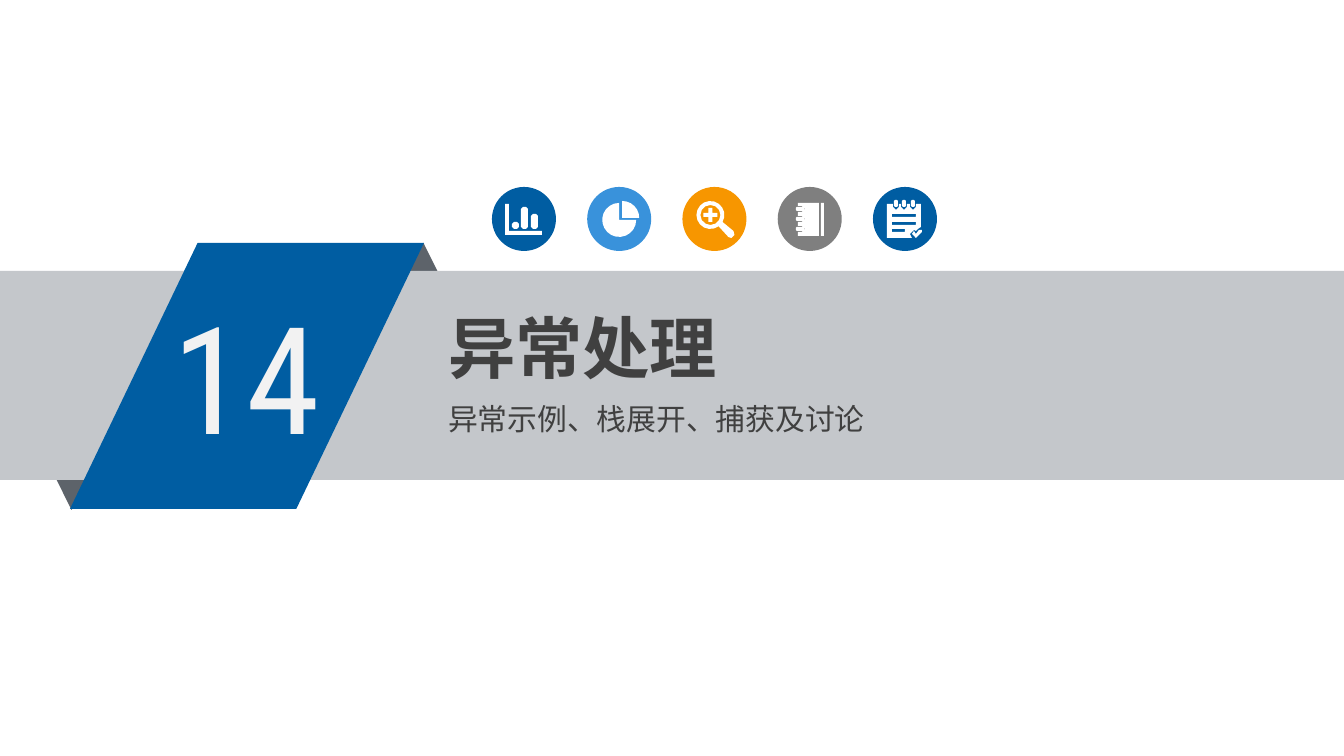
from math import ceil, cos, radians, sin

from lxml import etree
from pptx import Presentation
from pptx.dml.color import RGBColor
from pptx.enum.shapes import MSO_SHAPE
from pptx.enum.text import MSO_AUTO_SIZE
from pptx.oxml.ns import qn
from pptx.util import Pt

RECT, OVAL = MSO_SHAPE.RECTANGLE, MSO_SHAPE.OVAL
FOLD, SLANT = MSO_SHAPE.ISOSCELES_TRIANGLE, MSO_SHAPE.PARALLELOGRAM
GROW = MSO_AUTO_SIZE.SHAPE_TO_FIT_TEXT
PX = 914400 / 134.4
BLUE, SKY, AMBER, GRAY = "005DA2", "3992DB", "F79600", "7F7F7F"
WHITE, SLATE, SILVER, INK = "FFFFFF", "5D636A", "C4C7CB", "404040"
SANS, SLIM = "Noto Sans CJK SC", "Roboto Condensed"


def arc(x, y, r, start, end):
    """Points on a circle, in degrees clockwise from the right."""
    steps = ceil(r * abs(end - start) / 300)
    turns = [radians(start + (end - start) * i / steps) for i in range(steps + 1)]
    return [(x + r * cos(a), y + r * sin(a)) for a in turns]


def box(x, y, w, h):
    return [(x, y), (x + w, y), (x + w, y + h), (x, y + h)]


def pill(x, y, w, h, r=2):
    """Outline of a rectangle with cut corners."""
    left, right, top, low = x + r, x + w - r, y + r, y + h - r
    return [(left, y), (right, y), (x + w, top), (x + w, low),
            (right, y + h), (left, y + h), (x, low), (x, top)]


# Icon outlines, in px from the corner of their disc
bars = [
    [(13, 17), (17, 17), (17, 44), (50, 44), (50, 48), (13, 48)],
    *[pill(x, y, 7, 42 - y) for x, y in [(20, 35), (29, 20), (39, 27)]],
]
pie = [
    [(35, 31)] + arc(35, 31, 17, 270, 360),
    [(32, 33)] + arc(32, 33, 17, 0, 270),
]
lens = [
    arc(28, 28, 14, 54, 390) + [(51, 44), (52, 48), (49, 51), (46, 50)],
    arc(28, 28, 10, 0, 360),
    [(26, 21), (30, 21), (30, 26), (35, 26), (35, 30), (30, 30),
     (30, 35), (26, 35), (26, 30), (21, 30), (21, 26), (26, 26)],
]
rings = [19, 29, 39]
cover = [(41, 49), (41, 16), (20, 16)]
for y in rings:
    cover += [(20, y)] + arc(24, y + 3, 3, -90, 90) + [(20, y + 6)]
book = [
    cover + [(20, 49)],
    box(43, 16, 3, 33),
    *[pill(18, y + 1, 8, 4, 1) for y in rings],
]
clips = [23, 31, 40]
sheet = [(14, 51), (14, 17)]
for x in clips:
    sheet += [(x - 3, 17)] + arc(x, 20, 3, 180, 0) + [(x + 3, 17)]
pad = [
    sheet + [(48, 17), (48, 40), (45, 42), (43, 44), (41, 43), (37, 47), (39, 51)],
    [(49, 45), (43, 51), (39, 47), (41, 44), (43, 47), (46, 43), (49, 43)],
    *[pill(x - 2, 13, 4, 7, 1) for x in clips],
    *[box(19, y, w, 3) for y, w in [(27, 24), (35, 24), (42, 13)]],
]
ICONS = [(BLUE, bars), (SKY, pie), (AMBER, lens), (GRAY, book), (BLUE, pad)]
LEFT, TOP, DISC, STEP = 492, 187, 64, 381 / 4

# Kind, place, colour, turn
BANNER = [
    (FOLD, (363, 243, 121, 122), SLATE, 0),
    (FOLD, (11, 388, 121, 122), SLATE, 180),
    (RECT, (0, 271, 1344, 209), SILVER, 0),
    (SLANT, (70, 243, 354, 266), BLUE, 0),
]
# Words, place, size, font, colour, bold, side inset
TEXTS = [
    ("14", (164, 280, 195, 191), 80, SLIM, "F2F2F2", False, 9),
    ("异常处理", (438, 301, 742, 91), 36, SANS, INK, True, 10),
    ("异常示例、栈展开、捕获及讨论", (438, 396, 896, 47), 16, SANS, INK, False, 10),
]


def px(*nums):
    return [round(n * PX) for n in nums]


def color(code):
    return RGBColor.from_string(code)


def paint(shape, code):
    shape.shadow.inherit = False
    shape.fill.solid()
    shape.fill.fore_color.rgb = color(code)
    shape.line.fill.background()
    return shape


def draw(shapes, x, y, paths):
    """Join all outlines into one white shape; inner ones become holes."""
    pen = None
    for path in paths:
        dots = [(round(10 * (x + a)), round(10 * (y + b))) for a, b in path]
        if pen is None:
            pen = shapes.build_freeform(*dots[0], scale=PX / 10)
        else:
            pen.move_to(*dots[0])
        pen.add_line_segments(dots[1:], close=True)
    paint(pen.convert_to_shape(), WHITE)


def write(shapes, words, place, size, font, code, bold, side):
    frame = shapes.add_textbox(*px(*place)).text_frame
    frame.word_wrap = True
    frame.auto_size = GROW
    frame.margin_left, frame.margin_right = px(side, side)
    frame.margin_top, frame.margin_bottom = px(5, 5)
    run = frame.paragraphs[0].add_run()
    run.text = words
    run.font.size, run.font.bold, run.font.name = Pt(size), bold, font
    run.font.color.rgb = color(code)
    etree.SubElement(run._r.get_or_add_rPr(), qn("a:ea"), typeface=font)


def main():
    deck = Presentation()
    deck.slide_width, deck.slide_height = px(1344, 756)
    shapes = deck.slides.add_slide(deck.slide_layouts[6]).shapes
    for kind, place, code, turn in BANNER:
        shape = paint(shapes.add_shape(kind, *px(*place)), code)
        shape.rotation = turn
        if kind == SLANT:
            shape.adjustments[0] = 0.48
    for text in TEXTS:
        write(shapes, *text)
    for i, (code, paths) in enumerate(ICONS):
        x = LEFT + i * STEP
        icon = shapes.add_group_shape().shapes
        paint(icon.add_shape(OVAL, *px(x, TOP, DISC, DISC)), code)
        draw(icon, x, TOP, paths)
    deck.save("out.pptx")


if __name__ == "__main__":
    main()
